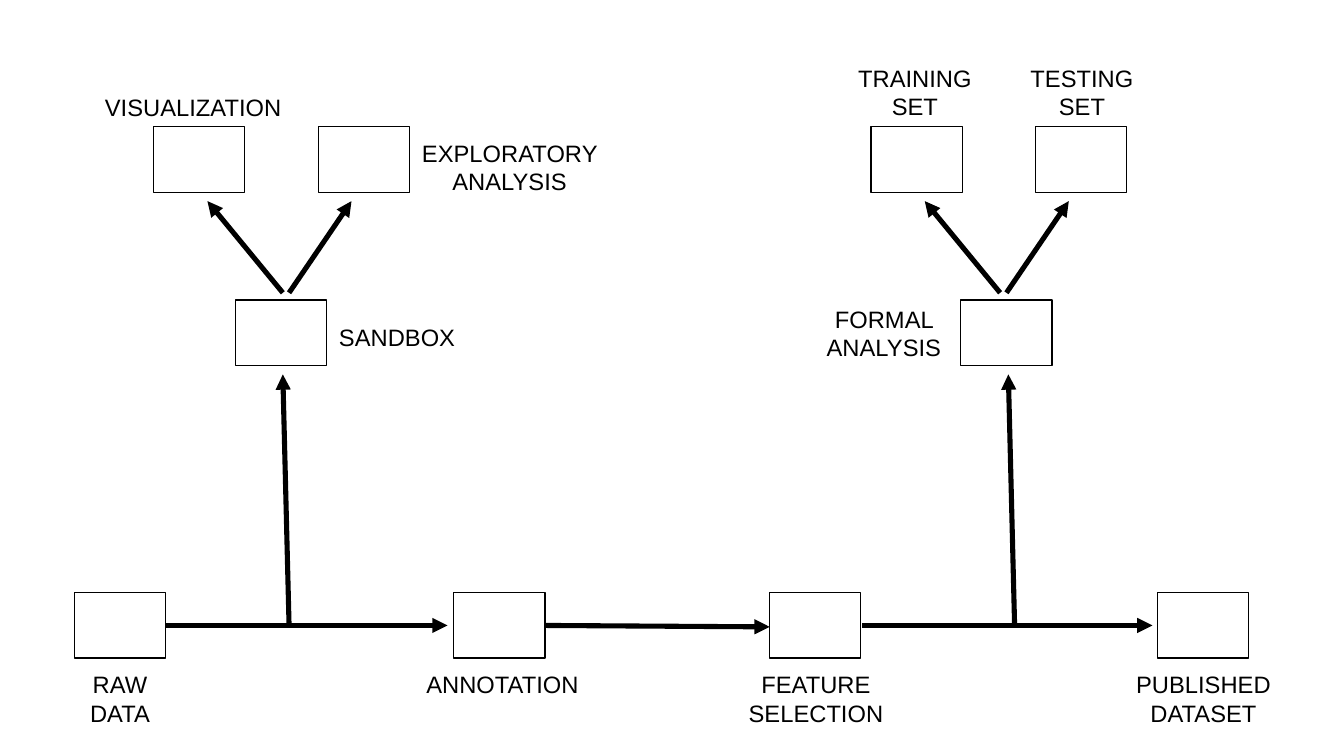
from lxml.etree import SubElement
from pptx import Presentation
from pptx.dml.color import RGBColor
from pptx.enum.shapes import MSO_CONNECTOR, MSO_SHAPE
from pptx.enum.text import MSO_ANCHOR, PP_ALIGN
from pptx.oxml.ns import qn
from pptx.util import Cm, Pt


def color(code):
    return RGBColor.from_string(code)


def apply(target, values):
    for name, value in values.items():
        setattr(target, name, value)


class Flow:
    """Draw the parts of a flow chart on one slide in a single style."""

    ink = "000000"
    size = 1.9, 1.37
    font = {"name": "Arial", "size": Pt(14)}
    inset = Cm(0.25)
    frame = {
        "word_wrap": True,
        "vertical_anchor": MSO_ANCHOR.TOP,
        "margin_left": inset,
        "margin_right": inset,
        "margin_top": inset,
        "margin_bottom": inset,
    }

    def __init__(self, slide):
        self.shapes = slide.shapes

    def stroke(self, line, width):
        line.color.rgb = color(self.ink)
        line.width = Pt(width)

    def box(self, left, top):
        width, height = self.size
        shape = self.shapes.add_shape(
            MSO_SHAPE.RECTANGLE, Cm(left), Cm(top), Cm(width), Cm(height))
        shape.shadow.inherit = False
        shape.fill.background()
        self.stroke(shape.line, 0.75)

    def arrow(self, x1, y1, x2, y2):
        link = self.shapes.add_connector(
            MSO_CONNECTOR.STRAIGHT, Cm(x1), Cm(y1), Cm(x2), Cm(y2))
        self.stroke(link.line, 3)
        SubElement(link.line._ln, qn("a:tailEnd"), type="triangle")
        SubElement(link._element.spPr, qn("a:effectLst"))

    def label(self, text, left, top, width, align=PP_ALIGN.CENTER):
        area = self.shapes.add_textbox(Cm(left), Cm(top), Cm(width), Cm(0.97))
        body = area.text_frame
        apply(body, self.frame)
        body.text = text
        for para in body.paragraphs:
            para.alignment = align
            apply(para.font, self.font)
            para.font.color.rgb = color(self.ink)


def main():
    deck = Presentation()
    apply(deck, {"slide_width": Cm(27.99), "slide_height": Cm(15.75)})
    flow = Flow(deck.slides.add_slide(deck.slide_layouts[6]))

    base, middle, upper = 12.34, 6.25, 2.64
    center = 13.03

    stages = [
        ("RAW DATA", 1.55, 1.55, 1.9),
        ("ANNOTATION", 9.45, 8.46, 4.01),
        ("FEATURE SELECTION", 16.03, 14.99, 4.01),
        ("PUBLISHED\nDATASET", 24.1, 23.06, 4.01),
    ]
    for text, left, edge, width in stages:
        flow.box(left, base)
        flow.label(text, edge, base + 1.37, width)

    for start, end, drop in [(3.45, 9.32, 0), (11.35, 16.03, 0.03), (17.96, 24, 0)]:
        flow.arrow(start, center, end, center + drop)

    for trunk, fork in [(0, 0), (15.11, 14.94)]:
        flow.box(4.9 + trunk, middle)
        flow.arrow(6.02 + trunk, center, 5.89 + trunk, 7.8)
        for left, start, end in [(3.2, 5.89, 4.32), (6.63, 6.02, 7.32)]:
            flow.box(left + fork, upper)
            flow.arrow(start + fork, 6.1, end + fork, 4.19)

    flow.label("SANDBOX", 6.81, 6.48, 3.07, PP_ALIGN.LEFT)
    for text, left, top, width in [
        ("VISUALIZATION", 1.8, 1.68, 4.45),
        ("EXPLORATORY ANALYSIS", 8.53, 2.64, 4.17),
        ("FORMAL ANALYSIS", 16.81, 6.1, 3.2),
        ("TRAINING\nSET", 17.58, 1.07, 2.95),
        ("TESTING\nSET", 21.06, 1.07, 2.95),
    ]:
        flow.label(text, left, top, width)

    deck.save("out.pptx")


if __name__ == "__main__":
    main()
